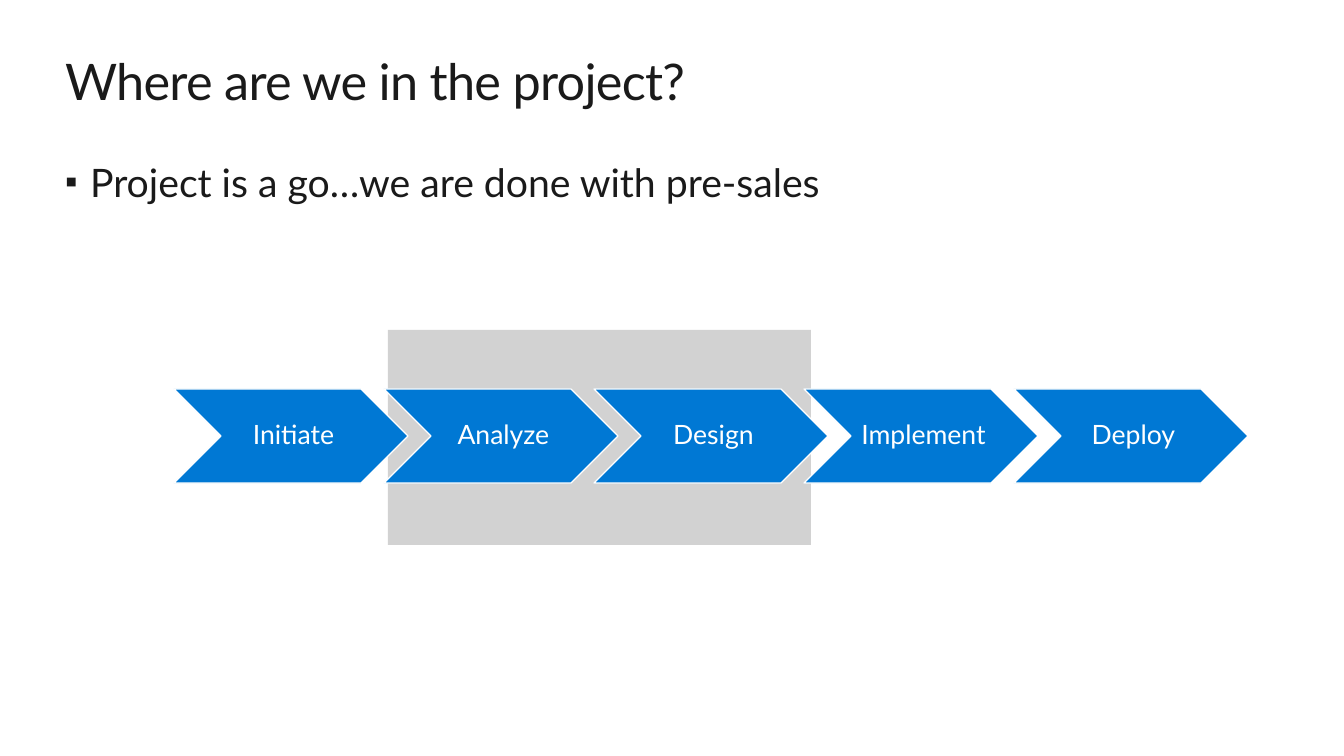
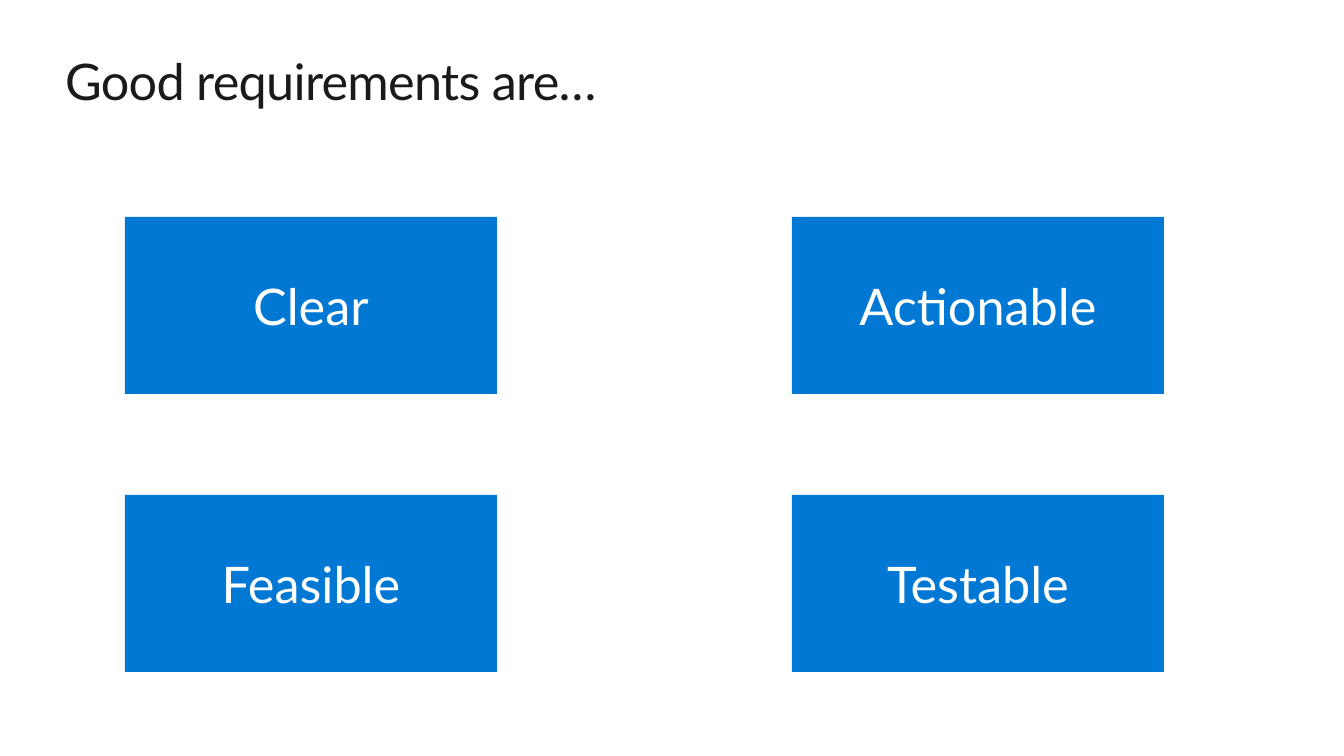
from lxml import etree
from pptx import Presentation
from pptx import util as u
from pptx.dml.color import RGBColor
from pptx.enum import shapes, text
from pptx.oxml.ns import qn

BLUE = RGBColor(0x00, 0x78, 0xD4)
GRAY = RGBColor(0xD2, 0xD2, 0xD2)
INK = RGBColor(0x1A, 0x1A, 0x1A)
WHITE = RGBColor(0xFF, 0xFF, 0xFF)
FONT = "Lato"
SCALE = 914400 / 100.8

PROJECT_TITLE = "Where are we in the project?"
PROJECT_STATUS = "Project is a go…we are done with pre-sales"
PHASES = ["Initiate", "Analyze", "Design", "Implement", "Deploy"]
REQUIREMENTS_TITLE = "Good requirements are…"
QUALITIES = [["Clear", "Actionable"], ["Feasible", "Testable"]]

TITLE_BOX = (65, 50, 1215, 61)
STATUS_BOX = (65, 158, 1215, 47)
HIGHLIGHT_BOX = (388, 330, 423, 215)
PHASE_LEFT, PHASE_TOP, PHASE_WIDTH, PHASE_HEIGHT, PHASE_STEP = 174, 389, 234, 94, 210
CARD_LEFT, CARD_TOP, CARD_WIDTH, CARD_HEIGHT = 125, 217, 372, 177
CARD_STEP_X, CARD_STEP_Y = 667, 278
PHASE_INSETS = (8, 3, 3, 3)
CARD_INSETS = (20, 16, 20, 16)


def px(value):
    return u.Emu(round(value * SCALE))


def assign(target, values):
    for name, value in values.items():
        setattr(target, name, value)


def place(shape, box):
    assign(shape, dict(zip(("left", "top", "width", "height"), map(px, box))))


def write(shape, words, size, color, insets, frame_format, para_format):
    frame = shape.text_frame
    sides = ("margin_left", "margin_top", "margin_right", "margin_bottom")
    assign(frame, dict(zip(sides, map(px, insets))))
    assign(frame, {"word_wrap": True, **frame_format})
    para = frame.paragraphs[0]
    assign(para, para_format)
    span = para.add_run()
    span.text = words
    assign(span.font, {"name": FONT, "size": u.Pt(size), "bold": False})
    span.font.color.rgb = color
    return para, span


def fill_placeholder(holder, box, words, size):
    place(holder, box)
    return write(holder, words, size, INK, (0, 0, 0, 0),
                 {"vertical_anchor": text.MSO_ANCHOR.TOP,
                  "auto_size": text.MSO_AUTO_SIZE.SHAPE_TO_FIT_TEXT},
                 {"alignment": text.PP_ALIGN.LEFT})


def add_page(layout, title):
    page = deck.slides.add_slide(deck.slide_layouts[layout])
    para, span = fill_placeholder(page.shapes.title, TITLE_BOX, title, 36)
    span.font._element.set("spc", "-50")
    return page


def add_block(page, kind, box, fill, outline=None):
    block = page.shapes.add_shape(kind, *map(px, box))
    block.shadow.inherit = False
    block.fill.solid()
    block.fill.fore_color.rgb = fill
    if outline is None:
        block.line.fill.background()
    else:
        block.line.color.rgb = outline
        block.line.width = u.Pt(0.85)
    return block


def label(block, words, size, insets, para_format):
    write(block, words, size, WHITE, insets,
          {"vertical_anchor": text.MSO_ANCHOR.MIDDLE},
          {"alignment": text.PP_ALIGN.CENTER, **para_format})


def set_bullet(para):
    props = para._p.get_or_add_pPr()
    assign_indent = {"marL": u.Inches(0.25), "indent": -u.Inches(0.25)}
    for name, value in assign_indent.items():
        props.set(name, str(value))
    for tag, name, value in (("a:buSzPct", "val", "90000"),
                             ("a:buFont", "typeface", "Arial"),
                             ("a:buChar", "char", "▪")):
        etree.SubElement(props, qn(tag)).set(name, value)


def build_project_page():
    page = add_page(1, PROJECT_TITLE)
    para, span = fill_placeholder(page.placeholders[1], STATUS_BOX, PROJECT_STATUS, 28)
    set_bullet(para)
    add_block(page, shapes.MSO_SHAPE.RECTANGLE, HIGHLIGHT_BOX, GRAY)
    for index, phase in enumerate(PHASES):
        box = (PHASE_LEFT + index * PHASE_STEP, PHASE_TOP, PHASE_WIDTH, PHASE_HEIGHT)
        chevron = add_block(page, shapes.MSO_SHAPE.CHEVRON, box, BLUE, WHITE)
        label(chevron, phase, 19, PHASE_INSETS, {"line_spacing": 0.9})


def build_requirements_page():
    page = add_page(5, REQUIREMENTS_TITLE)
    for row, qualities in enumerate(QUALITIES):
        for column, quality in enumerate(qualities):
            box = (CARD_LEFT + column * CARD_STEP_X, CARD_TOP + row * CARD_STEP_Y,
                   CARD_WIDTH, CARD_HEIGHT)
            card = add_block(page, shapes.MSO_SHAPE.RECTANGLE, box, BLUE)
            label(card, quality, 36, CARD_INSETS, {})


deck = Presentation()
assign(deck, {"slide_width": px(1344), "slide_height": px(756)})
build_project_page()
build_requirements_page()
deck.save("out.pptx")
